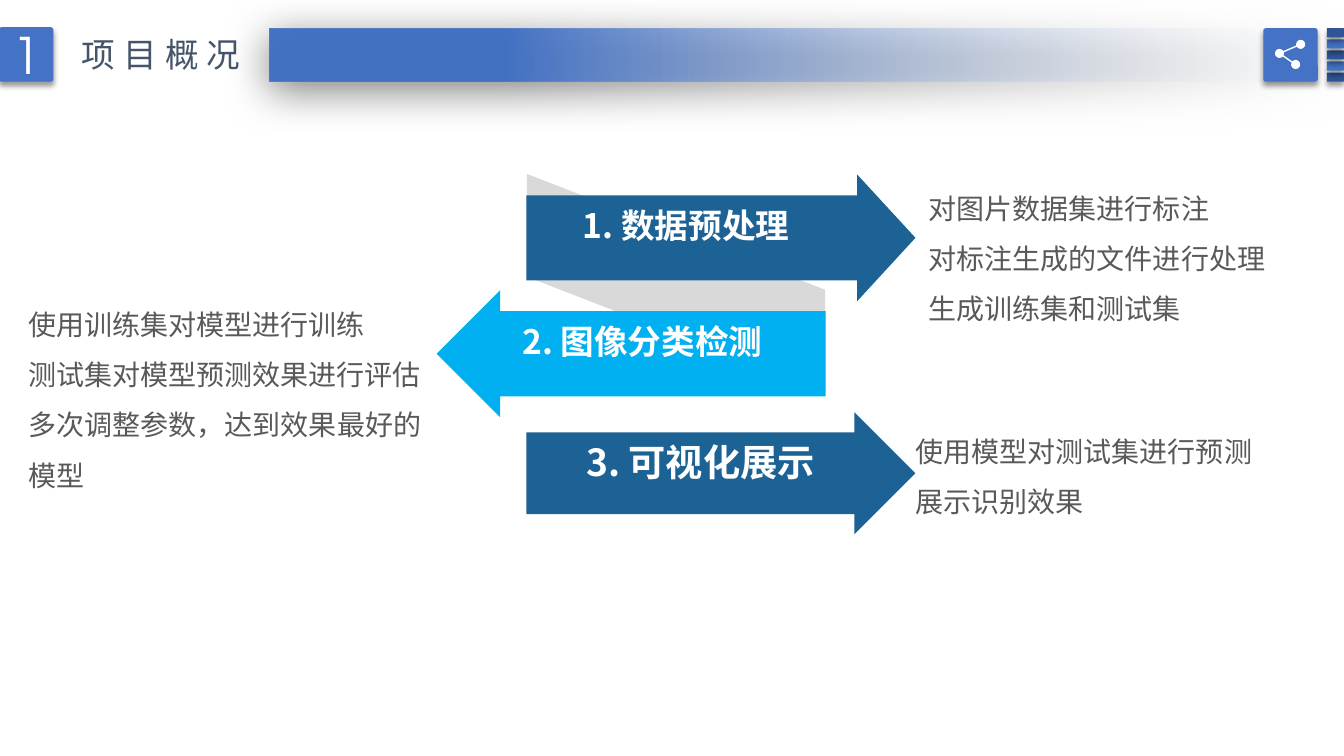
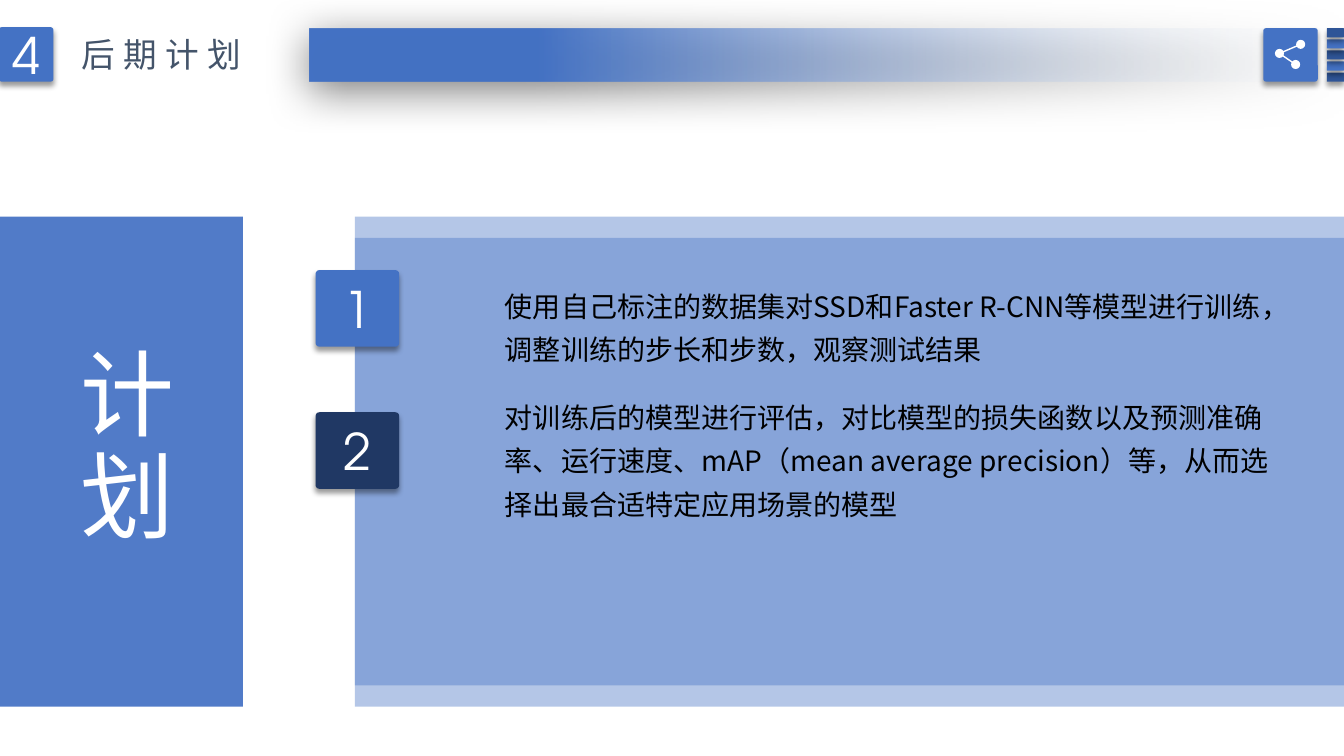
from lxml import etree
from pptx import Presentation
from pptx.dml.color import RGBColor
from pptx.enum.shapes import MSO_CONNECTOR, MSO_SHAPE
from pptx.enum.text import MSO_ANCHOR, MSO_AUTO_SIZE, PP_ALIGN
from pptx.oxml.ns import qn
from pptx.util import Inches, Pt

RECT, ROUND, OVAL = MSO_SHAPE.RECTANGLE, MSO_SHAPE.ROUNDED_RECTANGLE, MSO_SHAPE.OVAL
RIGHT, LEFT = MSO_SHAPE.RIGHT_ARROW, MSO_SHAPE.LEFT_ARROW
PARALLELOGRAM = MSO_SHAPE.PARALLELOGRAM
STRAIGHT = MSO_CONNECTOR.STRAIGHT
CENTER, JUSTIFY = PP_ALIGN.CENTER, PP_ALIGN.JUSTIFY
MIDDLE = MSO_ANCHOR.MIDDLE
GROW = MSO_AUTO_SIZE.SHAPE_TO_FIT_TEXT

THEME = {
    "blue": "4472C4", "stripe": "2F5597", "navy": "203864", "pale": "F7FAFD",
    "title": "44546A", "teal": "1D6295", "sky": "00B0F0", "fold": "D9D9D9",
    "grey": "595959", "white": "FFFFFF", "black": "000000",
    "cjk": "Noto Sans CJK SC", "digit": "TeX Gyre Adventor",
    "body": 20, "heading": 24, "number": 36, "banner": 67,
}
SLIDE_W, SLIDE_H = 13.33, 7.5
PADDED = (0.1, 0.05)
SOFT = {"alpha": 40, "blur": 4, "dist": 3, "angle": 90}
WIDE = {"alpha": 50, "blur": 31, "dist": 6, "angle": 97}

OVERVIEW = {"number": "1", "title": [("项目", 6), ("概 况", 0)], "bar": 2.67}
PLAN = {"number": "4", "title": [("后期计划", 6)], "bar": 3.07}

STEPS = [
    {"kind": RIGHT, "at": (5.22, 1.73, 3.86, 1.26), "head": 0.46, "color": "teal",
     "label": "1. 数据预处理", "label_at": (5.43, 2.03, 2.75, 0.4), "size": 24,
     "notes": ["对图片数据集进行标注", "对标注生成的文件进行处理", "生成训练集和测试集"],
     "notes_at": (9.21, 1.73, 3.44, 1.51)},
    {"kind": LEFT, "at": (4.33, 2.88, 3.86, 1.26), "head": 0.5, "color": "sky",
     "label": "2. 图像分类检测", "label_at": (5.01, 3.18, 2.72, 0.4), "size": 24,
     "notes": ["使用训练集对模型进行训练", "测试集对模型预测效果进行评估",
               "多次调整参数，达到效果最好的模型"],
     "notes_at": (0.28, 2.88, 3.9, 2.36)},
    {"kind": RIGHT, "at": (5.22, 4.09, 3.86, 1.21), "head": 0.5, "color": "teal",
     "label": "3. 可视化展示", "label_at": (5.43, 4.36, 3.04, 0.45), "size": 26.6,
     "notes": ["使用模型对测试集进行预测", "展示识别效果"],
     "notes_at": (9.08, 4.14, 3.45, 1.01)},
]

PLANS = [
    ("1", "blue", 2.68, (4.91, 2.72, 7.8, 0.91),
     "使用自己标注的数据集对SSD和Faster R-CNN等模型进行训练，调整训练的步长和步数，观察测试结果"),
    ("2", "navy", 4.09, (4.91, 3.82, 7.8, 1.41),
     "对训练后的模型进行评估，对比模型的损失函数以及预测准确率、运行速度、"
     "mAP（mean average precision）等，从而选择出最合适特定应用场景的模型"),
]


def rgb(color):
    return RGBColor.from_string(THEME[color])


def inches(at):
    return [Inches(v) for v in at]


def set_alpha(color_el, percent):
    etree.SubElement(color_el, qn("a:alpha")).set("val", str(percent * 1000))


def add_shadow(sp, alpha, blur, dist, angle):
    effects = sp._element.spPr.find(qn("a:effectLst"))
    shadow = etree.SubElement(effects, qn("a:outerShdw"), blurRad=str(Pt(blur)),
                              dist=str(Pt(dist)), dir=str(angle * 60000),
                              algn="t", rotWithShape="0")
    color_el = etree.SubElement(shadow, qn("a:srgbClr"), val=THEME["black"])
    set_alpha(color_el, alpha)


def add_box(s, kind, at, color, alpha=None, adj=(), shadow=None):
    sp = s.shapes.add_shape(kind, *inches(at))
    sp.shadow.inherit = False
    sp.line.fill.background()
    sp.fill.solid()
    sp.fill.fore_color.rgb = rgb(color)
    for i, value in enumerate(adj):
        sp.adjustments[i] = value
    if alpha is not None:
        set_alpha(next(sp._element.spPr.iter(qn("a:srgbClr"))), alpha)
    if shadow:
        add_shadow(sp, **shadow)
    return sp


def write(sp, paragraphs, size="body", color="black", font="cjk", bold=False,
          align=None, spacing=None, inset=(0, 0), wrap=True, anchor=None, grow=True):
    tf = sp.text_frame
    tf.word_wrap = wrap
    tf.margin_left = tf.margin_right = Inches(inset[0])
    tf.margin_top = tf.margin_bottom = Inches(inset[1])
    if grow:
        tf.auto_size = GROW
    if anchor is not None:
        tf.vertical_anchor = anchor
    for i, runs in enumerate(paragraphs):
        p = tf.add_paragraph() if i else tf.paragraphs[0]
        p.alignment = align
        p.line_spacing = spacing
        for text, tracking in [(runs, 0)] if isinstance(runs, str) else runs:
            r = p.add_run()
            r.text = text
            r.font.size = Pt(THEME.get(size, size))
            r.font.bold = bold
            r.font.color.rgb = rgb(color)
            r.font.name = THEME[font]
            rpr = r.font._element
            etree.SubElement(rpr, qn("a:ea"), typeface=THEME[font])
            if tracking:
                rpr.set("spc", str(tracking * 100))


def add_text(s, at, paragraphs, **style):
    sp = s.shapes.add_textbox(*inches(at))
    write(sp, paragraphs, **style)
    return sp


def add_badge(s, at, number, color="blue"):
    sp = add_box(s, ROUND, at, color, adj=[0.05], shadow=SOFT)
    write(sp, [number], size="number", color="white", font="digit", align=CENTER,
          inset=PADDED, anchor=MIDDLE, grow=False)


def add_share_icon(s):
    add_box(s, ROUND, (12.53, 0.28, 0.54, 0.53), "blue", adj=[0.05], shadow=SOFT)
    hub, top, bottom = nodes = [(12.69, 0.53), (12.9, 0.44), (12.85, 0.64)]
    for end in (top, bottom):
        link = s.shapes.add_connector(STRAIGHT, *inches(hub + end))
        link.line.color.rgb = rgb("white")
        link.line.width = Pt(1)
        etree.SubElement(link._element.spPr, qn("a:effectLst"))
    d = 0.09
    for x, y in nodes:
        add_box(s, OVAL, (x - d / 2, y - d / 2, d, d), "white")


def add_header(s, number, title, bar):
    band = add_box(s, RECT, (bar, 0.28, SLIDE_W - bar, 0.53), "blue", shadow=WIDE)
    band.fill.gradient()
    band.fill.gradient_angle = 180
    for stop, color, position in zip(band.fill.gradient_stops, ("pale", "blue"), (0, 0.78)):
        stop.color.rgb = rgb(color)
        stop.position = position
    set_alpha(next(band._element.spPr.iter(qn("a:srgbClr"))), 0)
    add_badge(s, (-0.01, 0.27, 0.54, 0.54), number)
    add_text(s, (0.71, 0.29, 1.85, 0.5), [title], size="heading", color="title",
             inset=PADDED, wrap=False)
    for i in reversed(range(5)):
        add_box(s, ROUND, (13.16, 0.28 + 0.11 * i, 0.17, 0.09),
                "blue" if i % 2 else "stripe", adj=[0.05], shadow=SOFT)
    add_share_icon(s)


def build_overview(s):
    add_header(s, **OVERVIEW)
    fold = add_box(s, PARALLELOGRAM, (5.62, 1.33, 2.17, 2.96), "fold", adj=[0.53])
    fold.rotation = 270
    for step in STEPS:
        add_box(s, step["kind"], step["at"], step["color"], adj=[0.67, step["head"]])
        add_text(s, step["label_at"], [step["label"]], size=step["size"], color="white",
                 bold=True, align=CENTER)
        add_text(s, step["notes_at"], step["notes"], color="grey", align=JUSTIFY,
                 spacing=1.5)


def build_plan(s):
    add_header(s, **PLAN)
    for top in (2.36, 2.15):
        add_box(s, RECT, (3.52, top, SLIDE_W - 3.52, 4.65), "blue", alpha=40)
    for number, color, top, at, text in PLANS:
        add_badge(s, (3.13, top, 0.83, 0.76), number, color)
        add_text(s, at, [text], spacing=1.3, inset=PADDED)
    add_box(s, RECT, (-0.01, 2.15, 2.42, 4.86), "blue", alpha=93)
    banner = add_text(s, (0.51, 3.34, 1.33, 2.13), [[("计划", 6)]], size="banner",
                      color="white", inset=PADDED, wrap=False)
    banner.text_frame._txBody.bodyPr.set("vert", "eaVert")


def main():
    prs = Presentation()
    prs.slide_width, prs.slide_height = inches((SLIDE_W, SLIDE_H))
    for build in (build_overview, build_plan):
        build(prs.slides.add_slide(prs.slide_layouts[6]))
    prs.save("out.pptx")


if __name__ == "__main__":
    main()
